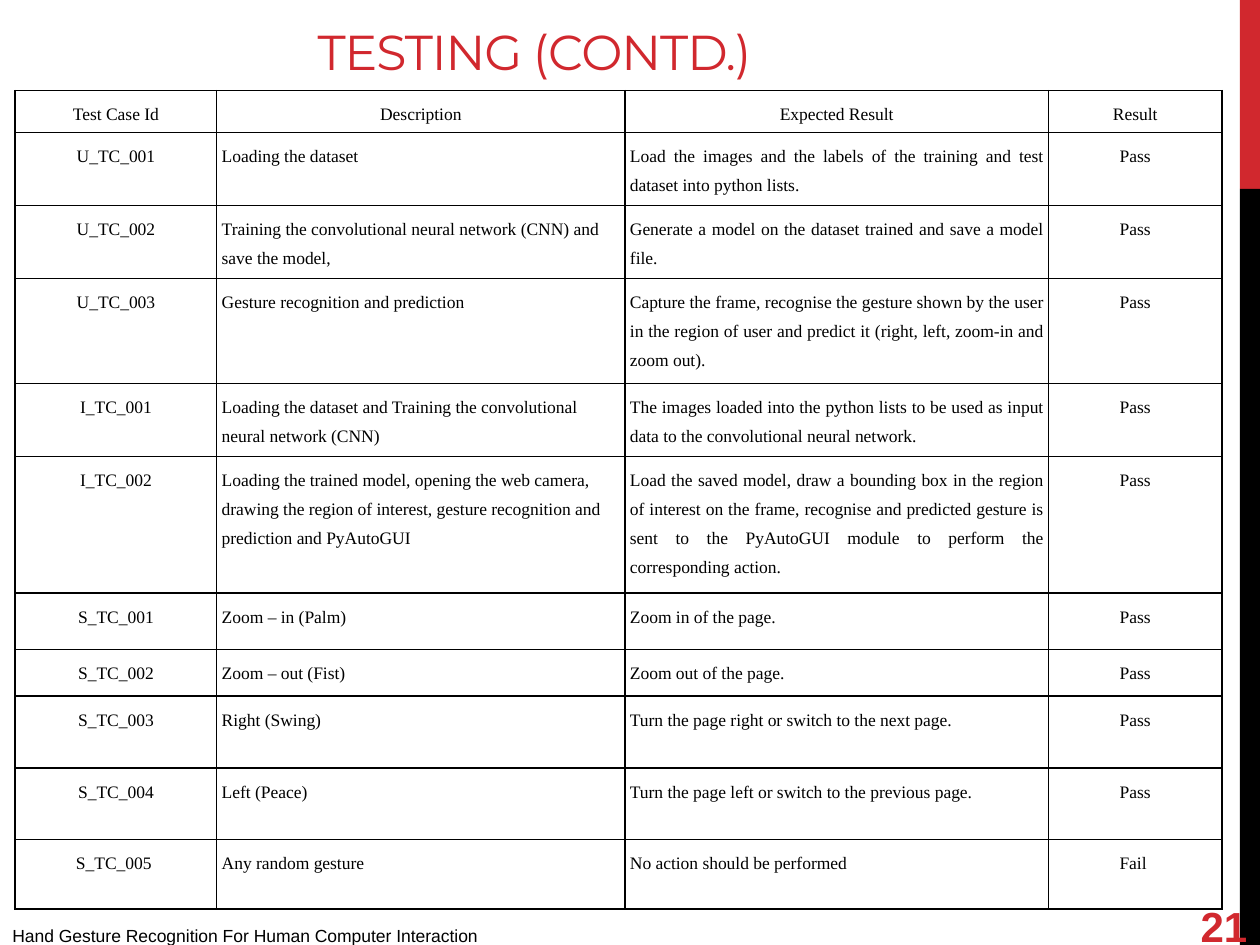
from dataclasses import dataclass

from lxml import etree
from pptx import Presentation
from pptx.dml.color import RGBColor
from pptx.enum.shapes import MSO_SHAPE
from pptx.enum.text import MSO_ANCHOR, MSO_AUTO_SIZE, PP_ALIGN
from pptx.oxml.ns import qn
from pptx.util import Inches, Pt

RECTANGLE = MSO_SHAPE.RECTANGLE
TOP, MIDDLE = MSO_ANCHOR.TOP, MSO_ANCHOR.MIDDLE
LEFT, CENTER, JUSTIFY = PP_ALIGN.LEFT, PP_ALIGN.CENTER, PP_ALIGN.JUSTIFY
TITLE_ONLY = 5


@dataclass(frozen=True)
class Theme:
    red: str = "D1282E"
    black: str = "000000"
    white: str = "FFFFFF"
    title_font: str = "Montserrat"
    label_font: str = "Arial"
    table_font: str = "Times New Roman"
    title_size: int = 28
    number_size: int = 24
    small_size: int = 10
    line_spacing: float = 1.5


THEME = Theme()

COLUMN_WIDTHS = [1.6, 3.24, 3.36, 1.38]
ROW_HEIGHTS = [0.33, 0.57, 0.57, 0.81, 0.57, 1.06, 0.45, 0.37, 0.57, 0.57, 0.55]
TEST_CASES = [
    ("Test Case Id", "Description", "Expected Result", "Result"),
    ("U_TC_001", "Loading the dataset",
     "Load the images and the labels of the training and test dataset into python lists.", "Pass"),
    ("U_TC_002", "Training the convolutional neural network (CNN) and save the model,",
     "Generate a model on the dataset trained and save a model file.", "Pass"),
    ("U_TC_003", "Gesture recognition and prediction",
     "Capture the frame, recognise the gesture shown by the user in the region of user "
     "and predict it (right, left, zoom-in and zoom out).", "Pass"),
    ("I_TC_001", "Loading the dataset and Training the convolutional neural network (CNN)",
     "The images loaded into the python lists to be used as input data to the "
     "convolutional neural network. ", "Pass"),
    ("I_TC_002", "Loading the trained model, opening the web camera, drawing the region of "
     "interest, gesture recognition and prediction and PyAutoGUI",
     "Load the saved model, draw a bounding box in the region of interest on the frame, "
     "recognise and predicted gesture is sent to the PyAutoGUI module to perform the "
     "corresponding action.", "Pass"),
    ("S_TC_001", "Zoom – in (Palm)", "Zoom in of the page.", "Pass"),
    ("S_TC_002", "Zoom – out (Fist)", "Zoom out of the page.", "Pass"),
    ("S_TC_003", "Right (Swing)", "Turn the page right or switch to the next page.", "Pass"),
    ("S_TC_004", "Left (Peace)", "Turn the page left or switch to the previous page.", "Pass"),
    ("S_TC_005 ", "Any random gesture", "No action should be performed", "Fail "),
]


def add_span(para, text, font, size, color, bold=False):
    span = para.add_run()
    span.text = text
    span.font.name = font
    span.font.size = Pt(size)
    span.font.bold = bold
    span.font.color.rgb = RGBColor.from_string(color)
    return span


def add_side_bar(page, left, top, width, height):
    """Red strip over the top fifth, black strip below it."""
    red_height = height // 5
    strips = [(top, red_height, THEME.red),
              (top + red_height, height - red_height, THEME.black)]
    for strip_top, strip_height, color in strips:
        strip = page.shapes.add_shape(RECTANGLE, left, strip_top, width, strip_height)
        strip.shadow.inherit = False
        strip.fill.solid()
        strip.fill.fore_color.rgb = RGBColor.from_string(color)
        strip.line.fill.background()


def add_title(page, left, top, width, height):
    title = page.shapes.title
    title.left, title.top, title.width, title.height = left, top, width, height
    frame = title.text_frame
    frame.auto_size = MSO_AUTO_SIZE.NONE
    frame.word_wrap = True
    frame.vertical_anchor = TOP
    para = frame.paragraphs[0]
    para.alignment = LEFT
    span = add_span(para, "TESTING (CONTD.)", THEME.title_font, THEME.title_size, THEME.red)
    span.font._element.set("spc", "-60")  # tighter letters


def add_label(page, left, top, width, height, text, size, color, anchor=TOP, bold=False):
    box = page.shapes.add_textbox(left, top, width, height)
    box.text_frame.word_wrap = True
    box.text_frame.vertical_anchor = anchor
    add_span(box.text_frame.paragraphs[0], text, THEME.label_font, size, color, bold)


def set_borders(cell, width, color):
    properties = cell._tc.get_or_add_tcPr()
    for side in ("a:lnL", "a:lnR", "a:lnT", "a:lnB"):
        line = etree.SubElement(properties, qn(side), w=str(width))
        fill = etree.SubElement(line, qn("a:solidFill"))
        etree.SubElement(fill, qn("a:srgbClr"), val=color)


def cell_alignment(row, column):
    if row == 0 or column in (0, 3):
        return CENTER
    # Unit and integration cases have justified results, system cases do not
    if column == 2 and not TEST_CASES[row][0].startswith("S_"):
        return JUSTIFY
    return LEFT


def fill_cell(cell, text, alignment):
    margin = Inches(0.04)
    cell.margin_left = cell.margin_right = cell.margin_top = cell.margin_bottom = margin
    set_borders(cell, Pt(1), THEME.black)
    cell.fill.solid()
    cell.fill.fore_color.rgb = RGBColor.from_string(THEME.white)
    para = cell.text_frame.paragraphs[0]
    para.alignment = alignment
    para.line_spacing = THEME.line_spacing
    add_span(para, text, THEME.table_font, THEME.small_size, THEME.black)


def add_test_table(page, left, top, width, height):
    table = page.shapes.add_table(
        len(TEST_CASES), len(COLUMN_WIDTHS), left, top, width, height).table
    table.first_row = False
    table.horz_banding = False
    for column, inches in zip(table.columns, COLUMN_WIDTHS):
        column.width = Inches(inches)
    for row, inches in zip(table.rows, ROW_HEIGHTS):
        row.height = Inches(inches)
    for r, case in enumerate(TEST_CASES):
        for c, text in enumerate(case):
            fill_cell(table.cell(r, c), text, cell_alignment(r, c))


def main():
    deck = Presentation()
    deck.slide_width, deck.slide_height = Inches(10), Inches(7.5)
    page = deck.slides.add_slide(deck.slide_layouts[TITLE_ONLY])
    page.background.fill.solid()
    page.background.fill.fore_color.rgb = RGBColor.from_string(THEME.white)

    add_side_bar(page, Inches(9.84), Inches(0), Inches(0.16), Inches(7.5))
    # Page number and footer
    add_label(page, Inches(9.43), Inches(7.15), Inches(0.58), Inches(0.4),
              "21", THEME.number_size, THEME.red, MIDDLE, bold=True)
    add_label(page, Inches(0), Inches(7.29), Inches(4.17), Inches(0.31),
              "Hand Gesture Recognition For Human Computer Interaction",
              THEME.small_size, THEME.black)
    add_title(page, Inches(2.42), Inches(0.12), Inches(6.5), Inches(0.87))
    add_test_table(page, Inches(0.12), Inches(0.72),
                   Inches(sum(COLUMN_WIDTHS)), Inches(sum(ROW_HEIGHTS)))
    deck.save("out.pptx")


if __name__ == "__main__":
    main()
